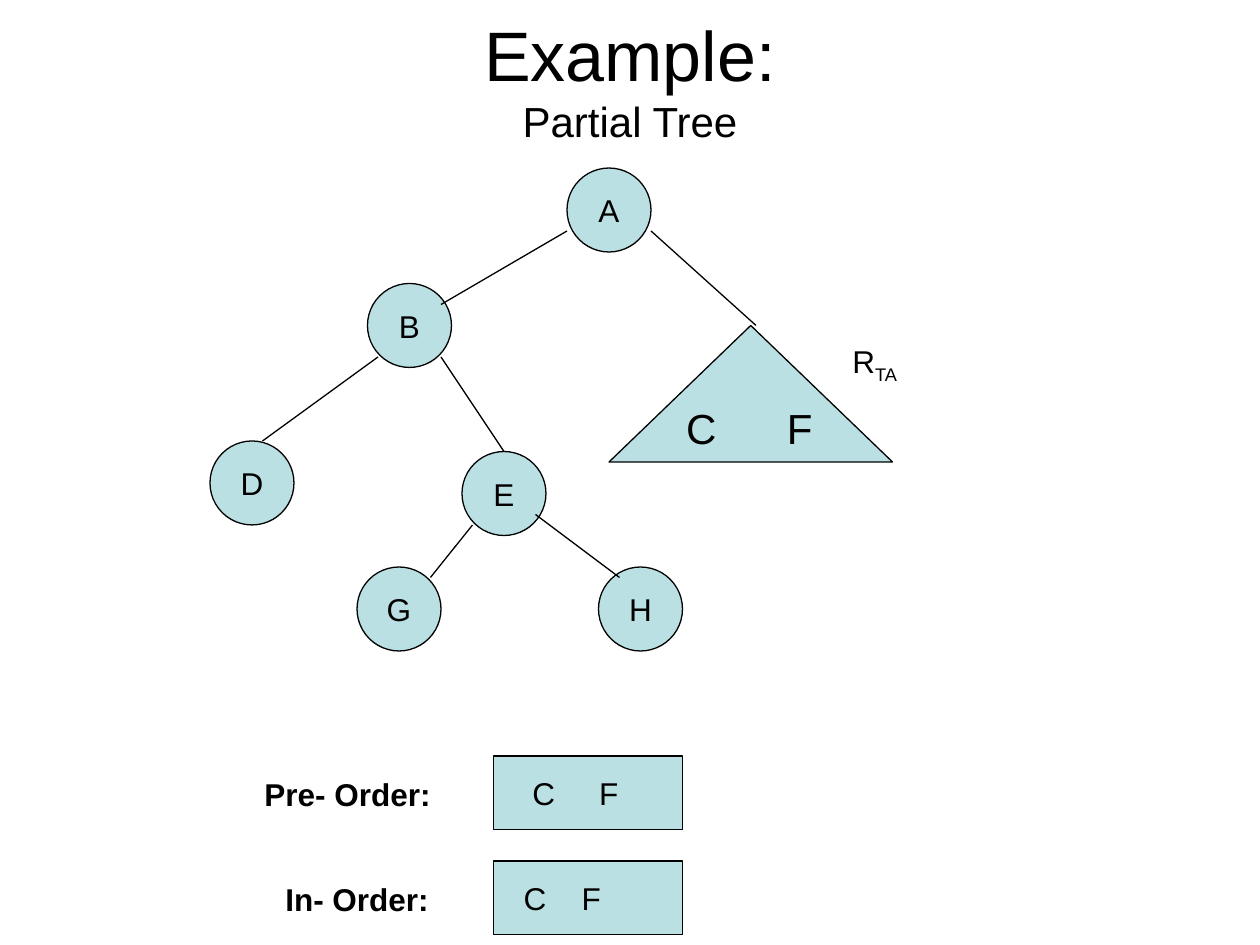
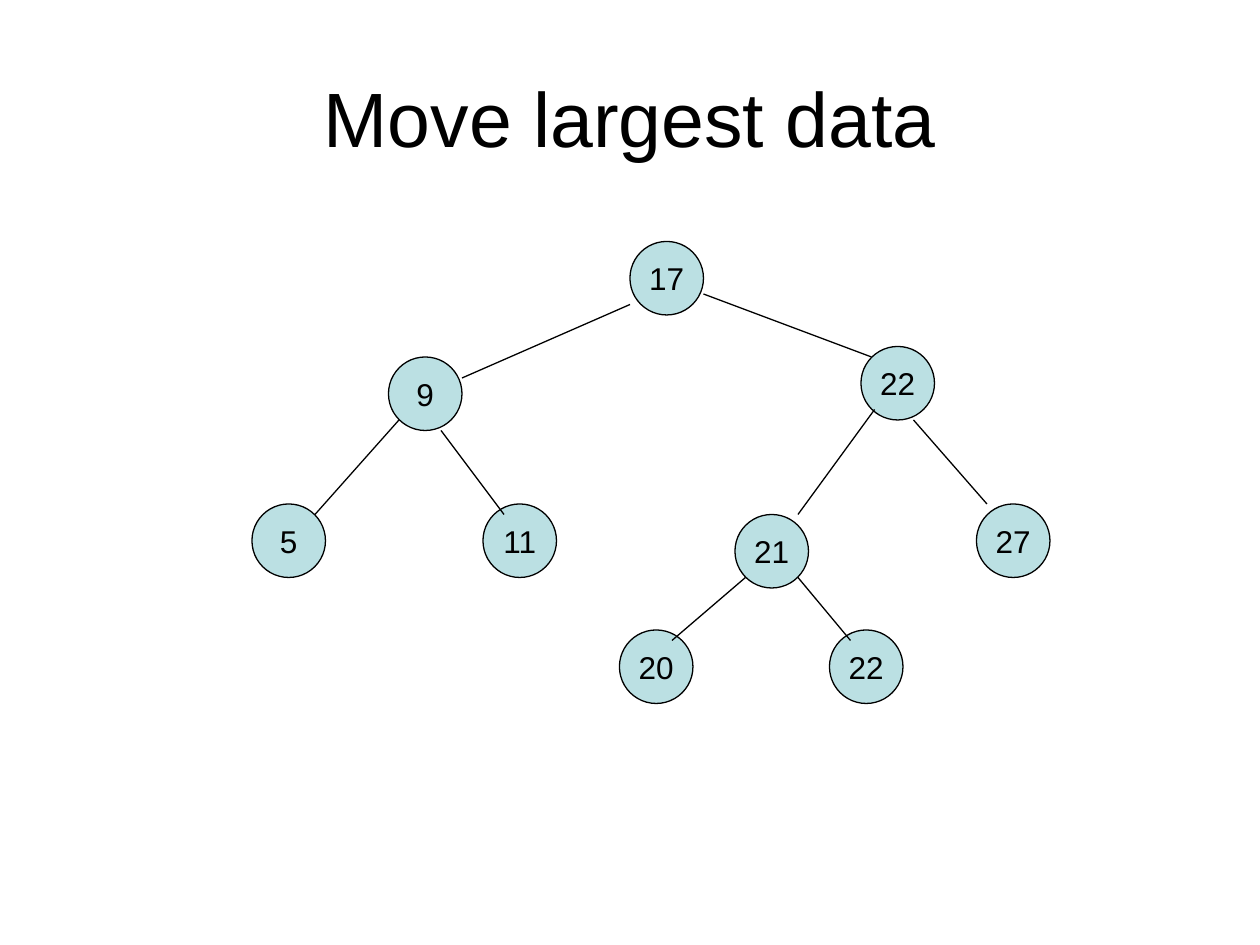
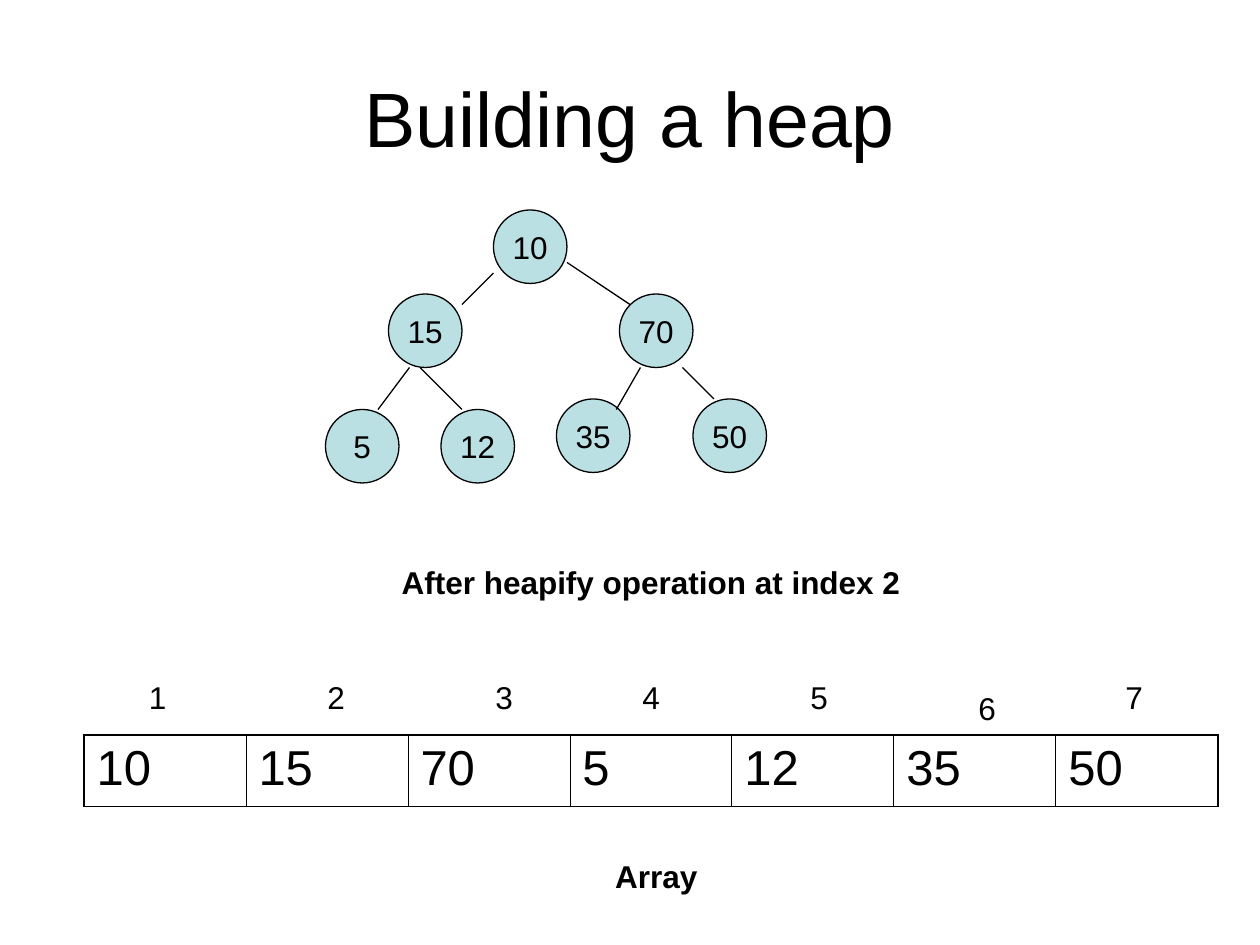
from lxml import etree
from pptx import Presentation
from pptx.dml.color import RGBColor
from pptx.enum.shapes import MSO_CONNECTOR, MSO_SHAPE
from pptx.enum.text import MSO_ANCHOR, PP_ALIGN
from pptx.oxml.ns import qn
from pptx.util import Inches, Pt

LEFT, CENTER = PP_ALIGN.LEFT, PP_ALIGN.CENTER
TOP, MIDDLE = MSO_ANCHOR.TOP, MSO_ANCHOR.MIDDLE
OVAL, RECT, TRI = MSO_SHAPE.OVAL, MSO_SHAPE.RECTANGLE, MSO_SHAPE.ISOSCELES_TRIANGLE
LINE = MSO_CONNECTOR.STRAIGHT

# Shared look; every place is counted in twelfths of an inch
UNIT = 12
COLS, ROWS = 120, 90
FONT, INK, TINT = "Arial", "000000", "BBE0E3"
TITLE = (6, 3.6, 108, 15)

# Trees: nodes as (label, column, row), edges as (from x, y, to x, y)
PARTIAL = {
    "size": 8,
    "nodes": [("A", 54, 16), ("B", 35, 27), ("D", 20, 42), ("E", 44, 43),
              ("G", 34, 54), ("H", 57, 54)],
    "edges": [(54, 22, 42, 29), (62, 22, 72, 31), (42, 34, 48, 43),
              (36, 34, 25, 42), (45, 50, 41, 55), (51, 49, 59, 55)],
}
SEARCH = {
    "size": 7,
    "nodes": [("17", 60, 23), ("9", 37, 34), ("22", 82, 33), ("27", 93, 48),
              ("21", 70, 49), ("11", 46, 48), ("5", 24, 48),
              ("22", 79, 60), ("20", 59, 60)],
    "edges": [(67, 28, 83, 34), (60, 29, 44, 36), (38, 40, 30, 49),
              (42, 41, 48, 49), (83.3, 39, 76, 49), (87, 40, 94, 48),
              (76, 55, 81, 61), (71, 55, 64, 61)],
}
HEAP = {
    "size": 7,
    "nodes": [("10", 47, 20), ("15", 37, 28), ("70", 59, 28), ("50", 66, 38),
              ("35", 53, 38), ("12", 42, 39), ("5", 31, 39)],
    "edges": [(54, 25, 60, 29), (47, 26, 44, 29), (39, 35, 36, 39),
              (40, 35, 44, 39), (61, 35, 58.7, 39), (65, 35, 68, 38)],
}

# Visit orders: label, label column, left inset and tab of the letters (inches)
ORDERS = [("Pre- Order:", 24, 0.31, 0.53), ("In- Order:", 26, 0.24, 0.46)]

ARRAY = ["10", "15", "70", "5", "12", "35", "50"]
INDEX = [(13, 64), (30, 64), (46, 64), (60, 64), (76, 64), (92, 65), (106, 64)]


def dist(units):
    return Inches(units / UNIT)


def color(code):
    return RGBColor.from_string(code)


def write(frame, text, size=18, bold=False, align=LEFT, anchor=None,
          wrap=True, inset=None, tab=None):
    """Fill a frame; text is a string or a list of (text, size, baseline)."""
    if anchor is not None:
        frame.vertical_anchor = anchor
        frame.word_wrap = wrap
    if inset is not None:
        frame.margin_left, frame.margin_right = Inches(inset), 0
    para = frame.paragraphs[0]
    para.alignment = align
    if tab:
        stops = etree.SubElement(para._p.get_or_add_pPr(), qn("a:tabLst"))
        etree.SubElement(stops, qn("a:tab"), pos=str(Inches(tab)), algn="l")
    parts = [(text, size, 0)] if isinstance(text, str) else text
    for words, points, base in parts:
        if words == "\n":
            para.add_line_break()
            continue
        run = para.add_run()
        run.text = words
        font = run.font
        font.name, font.size, font.bold = FONT, Pt(points), bold
        font.color.rgb = color(INK)
        if base:
            run._r.get_or_add_rPr().set("baseline", str(base * 1000))


def label(slide, text, box, **form):
    area = slide.shapes.add_textbox(*map(dist, box))
    write(area.text_frame, text, **{"anchor": TOP, **form})


def title(slide, text, box=TITLE):
    label(slide, text, box, size=44, align=CENTER, anchor=MIDDLE)


def shape(slide, kind, box, text, **form):
    item = slide.shapes.add_shape(kind, *map(dist, box))
    item.shadow.inherit = False
    item.fill.solid()
    item.fill.fore_color.rgb = color(TINT)
    item.line.color.rgb = color(INK)
    item.line.width = Pt(0.75)
    write(item.text_frame, text, anchor=MIDDLE, **form)


def tree(slide, plan):
    size = plan["size"]
    for name, col, row in plan["nodes"]:
        shape(slide, OVAL, (col, row, size, size), name, align=CENTER, wrap=False)
    for ends in plan["edges"]:
        edge = slide.shapes.add_connector(LINE, *map(dist, ends))
        edge.line.color.rgb = color(INK)
        edge.line.width = Pt(0.75)
        etree.SubElement(edge._element.spPr, qn("a:effectLst"))


def border(cell, widths):
    """Draw cell borders; widths go left, right, top, bottom."""
    props = cell._tc.get_or_add_tcPr()
    for place, (side, width) in enumerate(zip("LRTB", widths)):
        line = etree.Element(qn("a:ln" + side), w=str(Pt(width)))
        fill = etree.SubElement(line, qn("a:solidFill"))
        etree.SubElement(fill, qn("a:srgbClr"), val=INK)
        props.insert(place, line)


def array(slide, values, box):
    last = len(values) - 1
    table = slide.shapes.add_table(1, len(values), *map(dist, box)).table
    table.first_row = table.horz_banding = False
    for i, value in enumerate(values):
        table.columns[i].width = dist(box[2] / len(values))
        cell = table.cell(0, i)
        cell.fill.background()
        write(cell.text_frame, value, size=28)
        outer, inner = 1.08, 0.45
        border(cell, (outer if i == 0 else inner,
                      outer if i == last else inner, outer, outer))


def main():
    deck = Presentation()
    deck.slide_width, deck.slide_height = dist(COLS), dist(ROWS)
    blank = deck.slide_layouts[6]
    first, second, third = [deck.slides.add_slide(blank) for _ in range(3)]

    # Partial tree with its visit orders
    title(first, [("Example:", 40, 0), ("\n", 40, 0), ("Partial Tree", 24, 0)],
          (6, 0, 108, 15))
    shape(first, TRI, (58, 31, 27, 13), "C\tF", size=24, inset=0.05, tab=0.8)
    tree(first, PARTIAL)
    label(first, [("R", 18, 0), ("TA", 18, -25)], (80, 32, 12, 5.3))
    for i, (name, col, inset, tab) in enumerate(ORDERS):
        row = 72 + 10 * i
        label(first, name, (col, row + 1.2, 19, 4.8), bold=True)
        shape(first, RECT, (47, row, 18, 7), "C\tF", inset=inset, tab=tab)

    # Search tree
    title(second, "Move largest data")
    tree(second, SEARCH)

    # Heap and its array
    title(third, "Building a heap")
    tree(third, HEAP)
    label(third, "After heapify operation at index 2", (21, 53, 82, 4.8),
          bold=True, align=CENTER)
    array(third, ARRAY, (8, 70, 108, 6.8))
    for number, (col, row) in enumerate(INDEX, 1):
        label(third, str(number), (col, row, 8, 4.8))
    label(third, "Array", (43, 81, 39, 4.8), bold=True, align=CENTER)

    deck.save("out.pptx")


if __name__ == "__main__":
    main()
